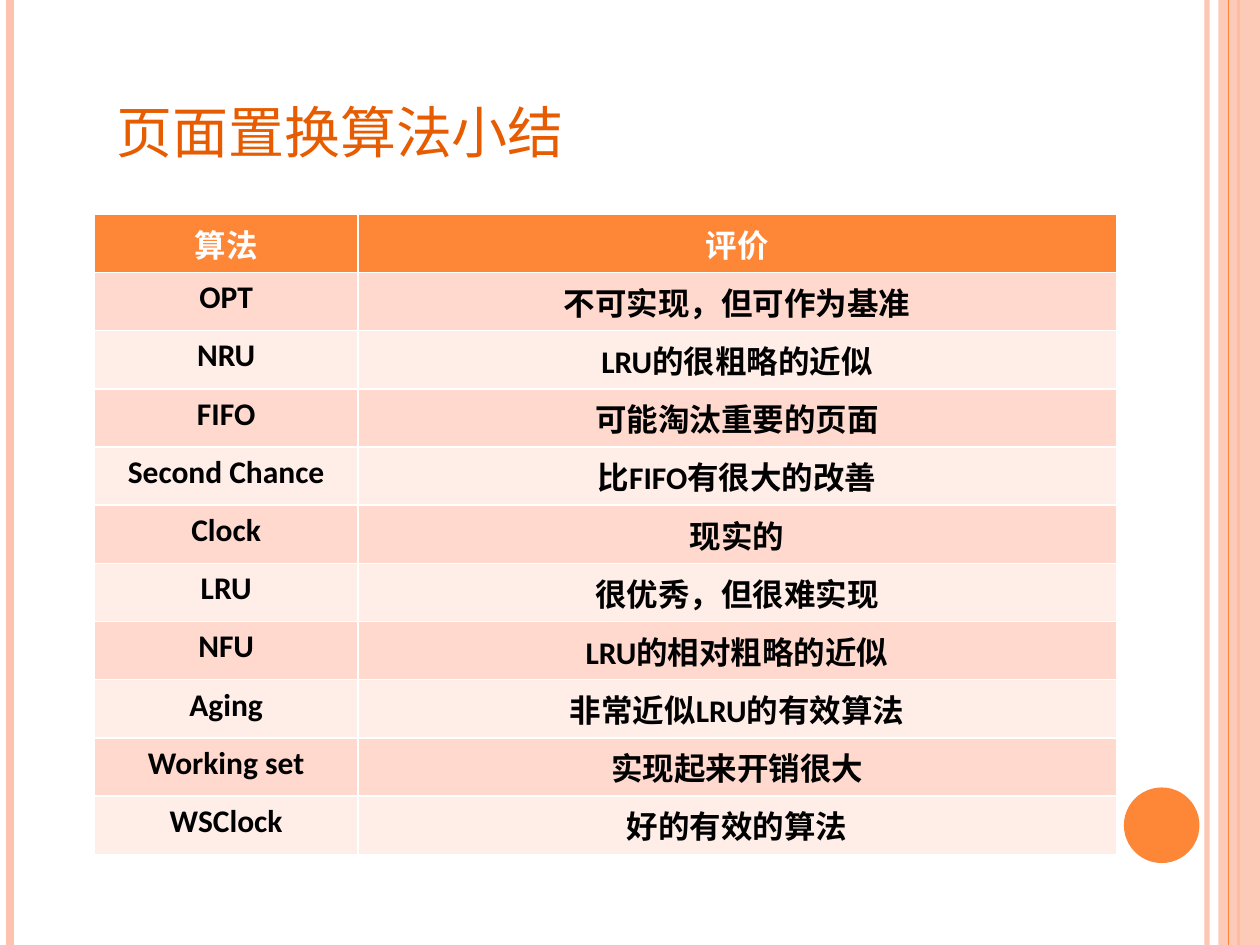
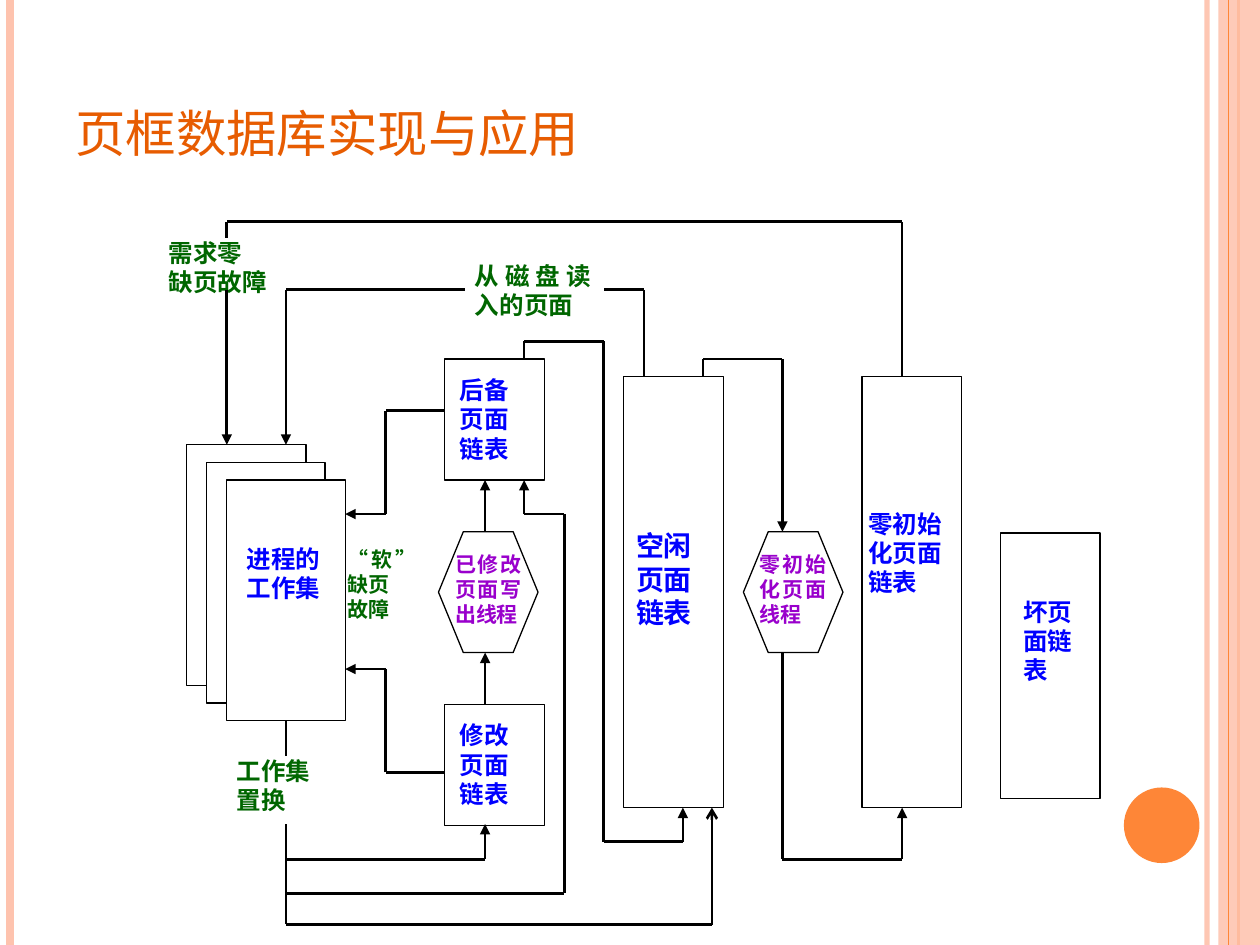
import pptx
import pptx.chart.data
import pptx.dml.color
import pptx.enum.shapes
import pptx.enum.text
import pptx.oxml.ns
import pptx.util
from lxml import etree

Inches, Pt, qn = pptx.util.Inches, pptx.util.Pt, pptx.oxml.ns.qn
SHAPE = pptx.enum.shapes.MSO_SHAPE
ALIGN = pptx.enum.text.PP_ALIGN
ANCHOR = pptx.enum.text.MSO_ANCHOR

CJK = "Noto Sans CJK SC"
ORANGE, PEACH, TITLE = "FE8637", "FEC3AE", "E75C01"
BLACK, WHITE = "000000", "FFFFFF"
BLUE, PURPLE, GREEN = "0000FF", "9900CC", "006600"
BANDS = ["FFEDE8", "FFD9CE"]
LINE_SPACING = 1.19

# x, colour, width in points, opacity in percent
STRIPES_BELOW = [(9.58, PEACH, 3, 93), (0.08, PEACH, 4.5, 100), (9.83, ORANGE, 1.5, 100)]
STRIPES_ABOVE = [(9.75, ORANGE, 0.75, 100)]

ALGORITHMS = [
    ("算法", "评价"),
    ("OPT", "不可实现，但可作为基准"),
    ("NRU", "LRU的很粗略的近似"),
    ("FIFO", "可能淘汰重要的页面"),
    ("Second Chance", "比FIFO有很大的改善"),
    ("Clock", "现实的"),
    ("LRU", "很优秀，但很难实现"),
    ("NFU", "LRU的相对粗略的近似"),
    ("Aging", "非常近似LRU的有效算法"),
    ("Working set", "实现起来开销很大"),
    ("WSClock", "好的有效的算法"),
]
COLUMN_WIDTHS = [2.09, 6.02]

# position, lines, size, (left, top, right) insets
BOXES = [
    ((1.48, 3.53, 0.95, 1.91), [], 14, (0, 0, 0)),
    ((1.64, 3.67, 0.94, 1.91), [], 14, (0, 0, 0)),
    ((1.8, 3.81, 0.94, 1.91), ["进程的", "工作集"], 14, (0.16, 0.51, 0.1)),
    ((3.53, 2.85, 0.79, 0.96), ["后备", "页面", "链表"], 14, (0.12, 0.13, 0.1)),
    ((3.53, 5.59, 0.79, 0.96), ["修改", "页面", "链表"], 14, (0.12, 0.13, 0.1)),
    ((4.95, 2.99, 0.79, 3.42), ["空闲", "页面", "链表"], 16, (0.1, 1.21, 0.1)),
    ((6.84, 2.99, 0.79, 3.42), ["零初始", "化页面", "链表"], 14, (0.05, 1.05, 0.04)),
    ((7.94, 4.23, 0.79, 2.11), ["坏页", "面链", "表"], 14, (0.18, 0.51, 0.1)),
]
THREADS = [
    ((5.9, 4.22, 0.79, 0.96), ["零初始化页面线程"]),
    ((3.48, 4.22, 0.79, 0.96), ["已修改页面写出线程"]),
]
LABELS = [
    ((2.72, 4.34, 0.63, 0.68), ["“软”缺页", "故障"], 12, (0.04, 0, 0.04)),
    ((1.8, 6, 0.94, 0.55), ["工作集", "置换"], 14, (0.08, 0, 0.1)),
    ((3.69, 2.07, 1.1, 0.48), ["从磁盘读入的页面"], 14, (0.08, 0, 0.1)),
    ((1.3, 1.89, 0.97, 0.46), ["需求零", "缺页故障"], 14, (0.04, 0, 0.04)),
]
# corner points of each path, and the arrowhead at its end
ROUTES = [
    ([(3.53, 3.26), (3.06, 3.26), (3.06, 4.08), (2.74, 4.08)], "triangle"),
    ([(3.53, 6.13), (3.06, 6.13), (3.06, 5.31), (2.74, 5.31)], "triangle"),
    ([(3.85, 5.59), (3.85, 5.18)], "triangle"),
    ([(3.85, 4.22), (3.85, 3.81)], "triangle"),
    ([(6.21, 5.18), (6.21, 6.82), (7.16, 6.82), (7.16, 6.41)], "triangle"),
    ([(5.58, 2.99), (5.58, 2.85), (6.21, 2.85), (6.21, 4.22)], "triangle"),
    ([(4.16, 2.85), (4.16, 2.71), (4.79, 2.71), (4.79, 6.68), (5.42, 6.68), (5.42, 6.41)],
     "triangle"),
    ([(2.27, 5.72), (2.27, 6)], None),
    ([(2.27, 6.54), (2.27, 7.33)], None),
    ([(2.27, 6.82), (3.85, 6.82), (3.85, 6.54)], "triangle"),
    ([(2.27, 7.09), (4.48, 7.09), (4.48, 4.08), (4.16, 4.08), (4.16, 3.81)], "triangle"),
    ([(5.11, 2.99), (5.11, 2.3), (4.79, 2.3)], None),
    ([(3.69, 2.3), (2.27, 2.3), (2.27, 3.53)], "triangle"),
    ([(7.16, 2.99), (7.16, 1.76), (1.8, 1.76), (1.8, 1.89)], None),
    ([(1.8, 2.3), (1.8, 3.53)], "triangle"),
    ([(2.27, 7.34), (5.65, 7.34), (5.65, 6.41)], "arrow"),
]


def rgb(code):
    return pptx.dml.color.RGBColor.from_string(code)


def set_opacity(element, percent):
    if percent < 100:
        color = next(element.iter(qn("a:srgbClr")))
        etree.SubElement(color, qn("a:alpha"), val=str(percent * 1000))


def style_paragraph(p, size, color, bold, align, latin=CJK):
    p.alignment = align
    p.font.size, p.font.bold, p.font.name = Pt(size), bold, latin
    p.font.color.rgb = rgb(color)
    etree.SubElement(p._p.pPr.find(qn("a:defRPr")), qn("a:ea"), typeface=CJK)


def write_lines(shape, lines, size, color, insets, bold=True,
                align=ALIGN.JUSTIFY, anchor=ANCHOR.TOP):
    tf = shape.text_frame
    tf.word_wrap, tf.vertical_anchor = True, anchor
    tf.margin_left, tf.margin_top, tf.margin_right = map(Inches, insets)
    tf.margin_bottom = 0
    for i, line in enumerate(lines):
        p = tf.paragraphs[0] if i == 0 else tf.add_paragraph()
        p.text = line
        p.line_spacing = Pt(round(size * LINE_SPACING, 1))
        style_paragraph(p, size, color, bold, align)


def add_filled(slide, kind, at, fill, outline=None):
    s = slide.shapes.add_shape(kind, *map(Inches, at))
    s.shadow.inherit = False
    s.fill.solid()
    s.fill.fore_color.rgb = rgb(fill)
    if outline:
        s.line.color.rgb = rgb(outline)
        s.line.width = Pt(0.75)
    else:
        s.line.fill.background()
    return s


def add_line(slide, start, end, color, width, opacity=100, head=None):
    s = slide.shapes.add_connector(pptx.enum.shapes.MSO_CONNECTOR.STRAIGHT,
                                   *map(Inches, start + end))
    s.line.color.rgb = rgb(color)
    s.line.width = Pt(width)
    ln = s.line._get_or_add_ln()
    set_opacity(ln, opacity)
    if head:
        etree.SubElement(ln, qn("a:tailEnd"), type=head)
    etree.SubElement(s._element.spPr, qn("a:effectLst"))
    return s


def add_stripes(slide, stripes):
    for x, color, width, opacity in stripes:
        add_line(slide, (x, 0), (x, 7.5), color, width, opacity)


def add_slide(prs, title, size, at):
    """Add a blank slide with the shared stripes, dot and small-caps title."""
    slide = prs.slides.add_slide(prs.slide_layouts[6])
    add_stripes(slide, STRIPES_BELOW)
    band = add_filled(slide, SHAPE.RECTANGLE, (9.67, 0, 0.33, 7.5), PEACH)
    set_opacity(band._element.spPr, 87)
    add_stripes(slide, STRIPES_ABOVE)
    add_filled(slide, SHAPE.OVAL, (8.92, 6.25, 0.6, 0.6), ORANGE)
    box = slide.shapes.add_textbox(*map(Inches, at))
    write_lines(box, [title], size, TITLE, (0.1, 0.05, 0.1), bold=False,
                align=ALIGN.LEFT, anchor=ANCHOR.BOTTOM)
    p = box.text_frame.paragraphs[0]
    p._p.pPr.find(qn("a:defRPr")).set("cap", "small")
    return slide


def add_cell_borders(cell, color, width):
    tc_pr = cell._tc.get_or_add_tcPr()
    for side in ("lnL", "lnR", "lnT", "lnB"):
        ln = etree.SubElement(tc_pr, qn("a:" + side), w=str(Pt(width)))
        fill = etree.SubElement(ln, qn("a:solidFill"))
        etree.SubElement(fill, qn("a:srgbClr"), val=color)


def add_algorithm_table(slide):
    table = slide.shapes.add_table(
        len(ALGORITHMS), len(COLUMN_WIDTHS),
        *map(Inches, (0.75, 1.7, sum(COLUMN_WIDTHS), 5.08))).table
    for column, width in zip(table.columns, COLUMN_WIDTHS):
        column.width = Inches(width)
    for r, row in enumerate(ALGORITHMS):
        for c, text in enumerate(row):
            cell = table.cell(r, c)
            add_cell_borders(cell, WHITE, 1)
            cell.fill.solid()
            cell.fill.fore_color.rgb = rgb(BANDS[r % 2] if r else ORANGE)
            p = cell.text_frame.paragraphs[0]
            p.text = text
            style_paragraph(p, 18, BLACK if r else WHITE, True, ALIGN.CENTER, "Calibri")


def find_joint(point, boxes):
    """Return the box and side number whose middle lies at the point, if any."""
    for (x, y, w, h), box in boxes:
        middles = [(x + w / 2, y), (x, y + h / 2), (x + w / 2, y + h), (x + w, y + h / 2)]
        for side, middle in enumerate(middles):
            if all(abs(a - b) < 0.01 for a, b in zip(point, middle)):
                return box, side
    return None


def add_route(slide, points, head, boxes):
    last = len(points) - 2
    for i, (start, end) in enumerate(zip(points, points[1:])):
        s = add_line(slide, start, end, BLACK, 1.5, head=head if i == last else None)
        begin, finish = find_joint(start, boxes), find_joint(end, boxes)
        if begin:
            s.begin_connect(*begin)
        if finish:
            s.end_connect(*finish)


def add_page_frame_diagram(slide):
    boxes = []
    for at, lines, size, insets in BOXES:
        s = add_filled(slide, SHAPE.RECTANGLE, at, WHITE, BLACK)
        write_lines(s, lines, size, BLUE, insets)
        boxes.append((at, s))
    for at, lines in THREADS:
        s = add_filled(slide, SHAPE.HEXAGON, at, WHITE, BLACK)
        write_lines(s, lines, 12, PURPLE, (0, 0, 0))
    for at, lines, size, insets in LABELS:
        write_lines(slide.shapes.add_textbox(*map(Inches, at)), lines, size, GREEN, insets)
    for points, head in ROUTES:
        add_route(slide, points, head, boxes)


def main():
    prs = pptx.Presentation()
    prs.slide_width, prs.slide_height = Inches(10), Inches(7.5)
    add_algorithm_table(add_slide(prs, "页面置换算法小结", 40, (0.83, 0.52, 8.01, 0.81)))
    add_page_frame_diagram(add_slide(prs, "页框数据库实现与应用", 36, (0.5, 0.3, 8.17, 1.01)))
    prs.save("out.pptx")


if __name__ == "__main__":
    main()
